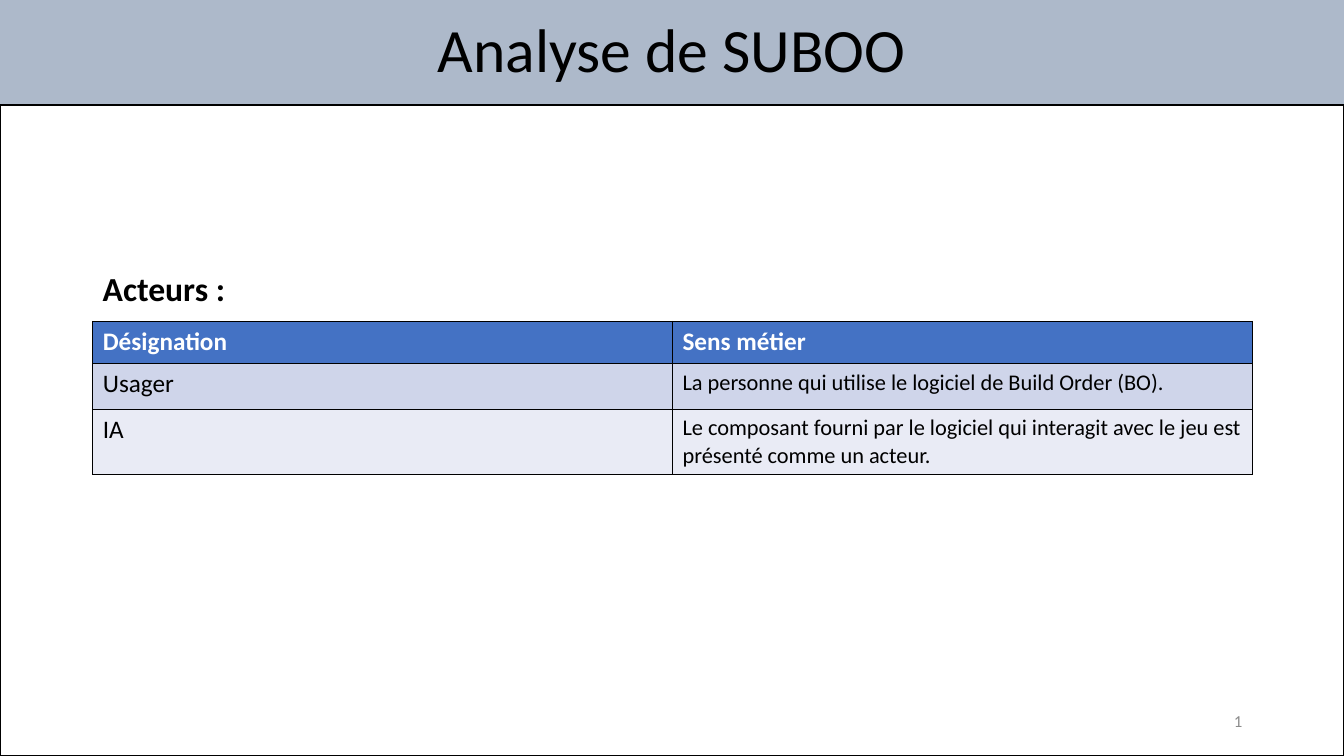
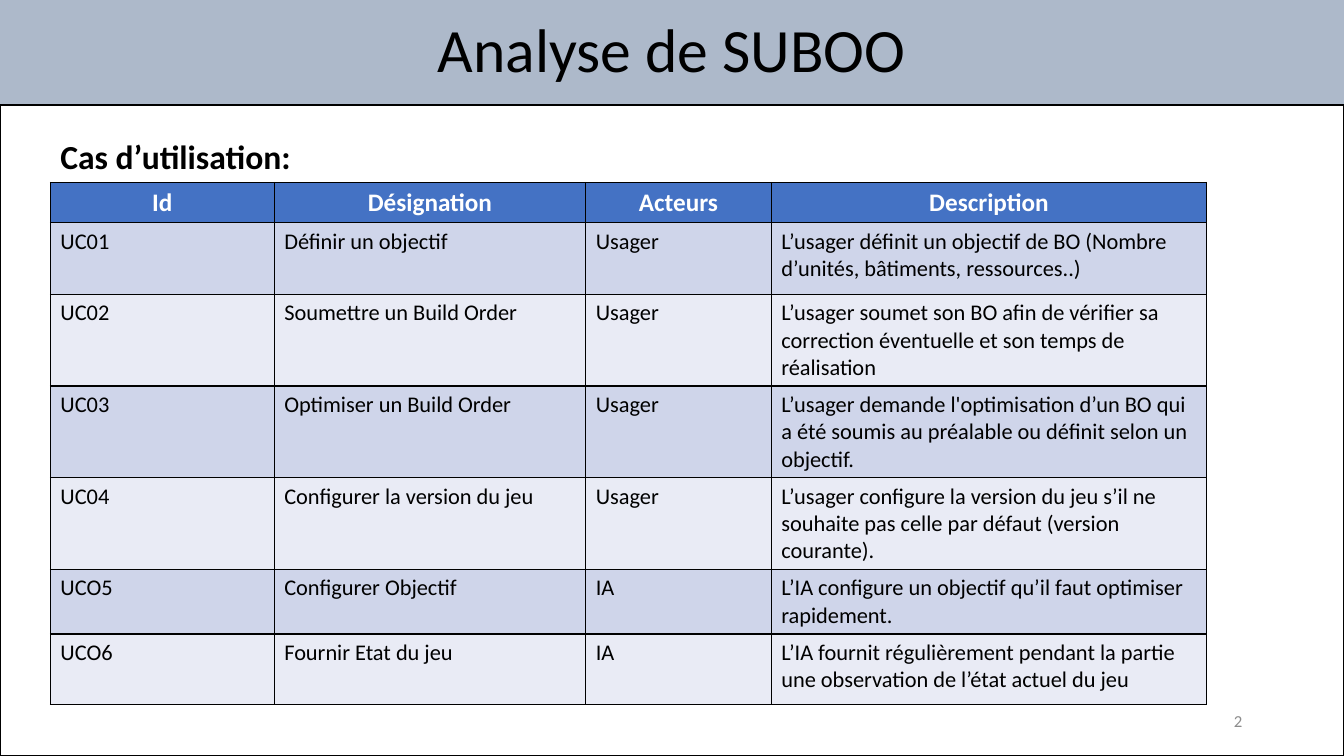
from lxml.etree import SubElement
from pptx import Presentation
from pptx.dml.color import RGBColor
from pptx.enum.shapes import MSO_SHAPE
from pptx.enum.text import MSO_ANCHOR, PP_ALIGN
from pptx.oxml.ns import qn
from pptx.util import Inches, Pt

FONT = "Calibri"
BLACK = RGBColor(0x00, 0x00, 0x00)
WHITE = RGBColor(0xFF, 0xFF, 0xFF)
GREY = RGBColor(0x8C, 0x8C, 0x8C)
BAND_BLUE = RGBColor(0xAD, 0xB9, 0xCA)
HEADER_BLUE = RGBColor(0x44, 0x72, 0xC4)
ROW_FILLS = (RGBColor(0xCF, 0xD5, 0xEA), RGBColor(0xE9, 0xEB, 0xF5))

SLIDE_WIDTH, SLIDE_HEIGHT, BAND_HEIGHT = 13.33, 7.5, 1.04
TITLE = "Analyse de SUBOO"

ACTORS = [
    ("Désignation", "Sens métier"),
    ("Usager", "La personne qui utilise le logiciel de Build Order (BO)."),
    ("IA", "Le composant fourni par le logiciel qui interagit avec le jeu est présenté comme un acteur."),
]
USE_CASES = [
    ("Id", "Désignation", "Acteurs", "Description"),
    ("UC01", "Définir un objectif", "Usager",
     "L’usager définit un objectif de BO (Nombre d’unités, bâtiments, ressources..)"),
    ("UC02", "Soumettre un Build Order", "Usager",
     "L’usager soumet son BO afin de vérifier sa correction éventuelle et son temps de réalisation"),
    ("UC03", "Optimiser un Build Order", "Usager",
     "L’usager demande l'optimisation d’un BO qui a été soumis au préalable ou définit selon un objectif."),
    ("UC04", "Configurer la version du jeu", "Usager",
     "L’usager configure la version du jeu s’il ne souhaite pas celle par défaut (version courante)."),
    ("UCO5", "Configurer Objectif", "IA",
     "L’IA configure un objectif qu’il faut optimiser rapidement."),
    ("UCO6", "Fournir Etat du jeu", "IA",
     "L’IA fournit régulièrement pendant la partie une observation de l’état actuel du jeu"),
]


def write(text_frame, text, size, color=BLACK, bold=False, align=PP_ALIGN.LEFT):
    text_frame.text = text
    text_frame.word_wrap = True
    paragraph = text_frame.paragraphs[0]
    paragraph.alignment = align
    font = paragraph.runs[0].font
    font.name, font.size, font.bold = FONT, Pt(size), bold
    font.color.rgb = color
    return paragraph


def add_rectangle(slide, left, top, width, height):
    shape = slide.shapes.add_shape(
        MSO_SHAPE.RECTANGLE, Inches(left), Inches(top), Inches(width), Inches(height))
    shape.shadow.inherit = False
    return shape


def add_text_box(slide, left, top, width, height, text, size, **style):
    box = slide.shapes.add_textbox(Inches(left), Inches(top), Inches(width), Inches(height))
    return box, write(box.text_frame, text, size, **style)


def add_title_band(slide):
    band = add_rectangle(slide, 0, 0, SLIDE_WIDTH, BAND_HEIGHT)
    band.fill.solid()
    band.fill.fore_color.rgb = BAND_BLUE
    band.line.fill.background()
    band.text_frame.vertical_anchor = MSO_ANCHOR.MIDDLE
    paragraph = write(band.text_frame, TITLE, 44, align=PP_ALIGN.CENTER)
    paragraph.line_spacing = 0.9


def add_body_frame(slide):
    frame = add_rectangle(slide, 0, BAND_HEIGHT, SLIDE_WIDTH, SLIDE_HEIGHT - BAND_HEIGHT)
    frame.fill.background()
    frame.line.color.rgb = BLACK
    frame.line.width = Pt(1)


def add_page_number(slide, number):
    """Place the number as a slide-number field, so it follows the slide order."""
    box, paragraph = add_text_box(
        slide, 9.42, 6.95, 3, 0.4, str(number), 12, color=GREY, align=PP_ALIGN.RIGHT)
    box.text_frame.vertical_anchor = MSO_ANCHOR.MIDDLE
    run = paragraph.runs[0]._r
    field = SubElement(paragraph._p, qn("a:fld"), type="slidenum",
                       id="{B6F15528-21DE-4FAA-801E-634DDDAF4B2B}")
    field.extend(list(run))
    paragraph._p.remove(run)


def add_cell_borders(cell):
    properties = cell._tc.get_or_add_tcPr()
    for side in ("a:lnL", "a:lnR", "a:lnT", "a:lnB"):
        line = SubElement(properties, qn(side), w=str(Pt(1)))
        fill = SubElement(line, qn("a:solidFill"))
        SubElement(fill, qn("a:srgbClr"), val=str(BLACK))


def add_grid(slide, left, top, rows, widths, heights, sizes, header_align):
    """Add a banded table; sizes gives the body text size of each column."""
    table = slide.shapes.add_table(
        len(rows), len(widths), Inches(left), Inches(top),
        Inches(sum(widths)), Inches(sum(heights))).table
    for column, width in zip(table.columns, widths):
        column.width = Inches(width)
    for row, height in zip(table.rows, heights):
        row.height = Inches(height)
    for row_index, texts in enumerate(rows):
        is_header = row_index == 0
        fill = HEADER_BLUE if is_header else ROW_FILLS[(row_index - 1) % 2]
        for column_index, text in enumerate(texts):
            cell = table.cell(row_index, column_index)
            add_cell_borders(cell)
            cell.fill.solid()
            cell.fill.fore_color.rgb = fill
            if is_header:
                write(cell.text_frame, text, 18, WHITE, True, header_align)
            else:
                write(cell.text_frame, text, sizes[column_index])


def add_table_slide(presentation, number, heading, heading_top, left, top, rows,
                    widths, heights, sizes, header_align=PP_ALIGN.LEFT):
    slide = presentation.slides.add_slide(presentation.slide_layouts[6])
    add_title_band(slide)
    add_grid(slide, left, top, rows, widths, heights, sizes, header_align)
    add_text_box(slide, left, heading_top, 3.78, 0.5, heading, 24, bold=True)
    add_page_number(slide, number)
    add_body_frame(slide)


def main():
    presentation = Presentation()
    presentation.slide_width = Inches(SLIDE_WIDTH)
    presentation.slide_height = Inches(SLIDE_HEIGHT)
    add_table_slide(
        presentation, 1, "Acteurs :", 2.61, 0.92, 3.19, ACTORS,
        widths=(5.75, 5.75), heights=(0.42, 0.45, 0.64), sizes=(18, 16))
    add_table_slide(
        presentation, 2, "Cas d’utilisation:", 1.3, 0.5, 1.81, USE_CASES,
        widths=(2.22, 3.09, 1.84, 4.32),
        heights=(0.4, 0.71, 0.91, 0.91, 0.91, 0.64, 0.7),
        sizes=(16, 16, 16, 16), header_align=PP_ALIGN.CENTER)
    presentation.save("out.pptx")


if __name__ == "__main__":
    main()
